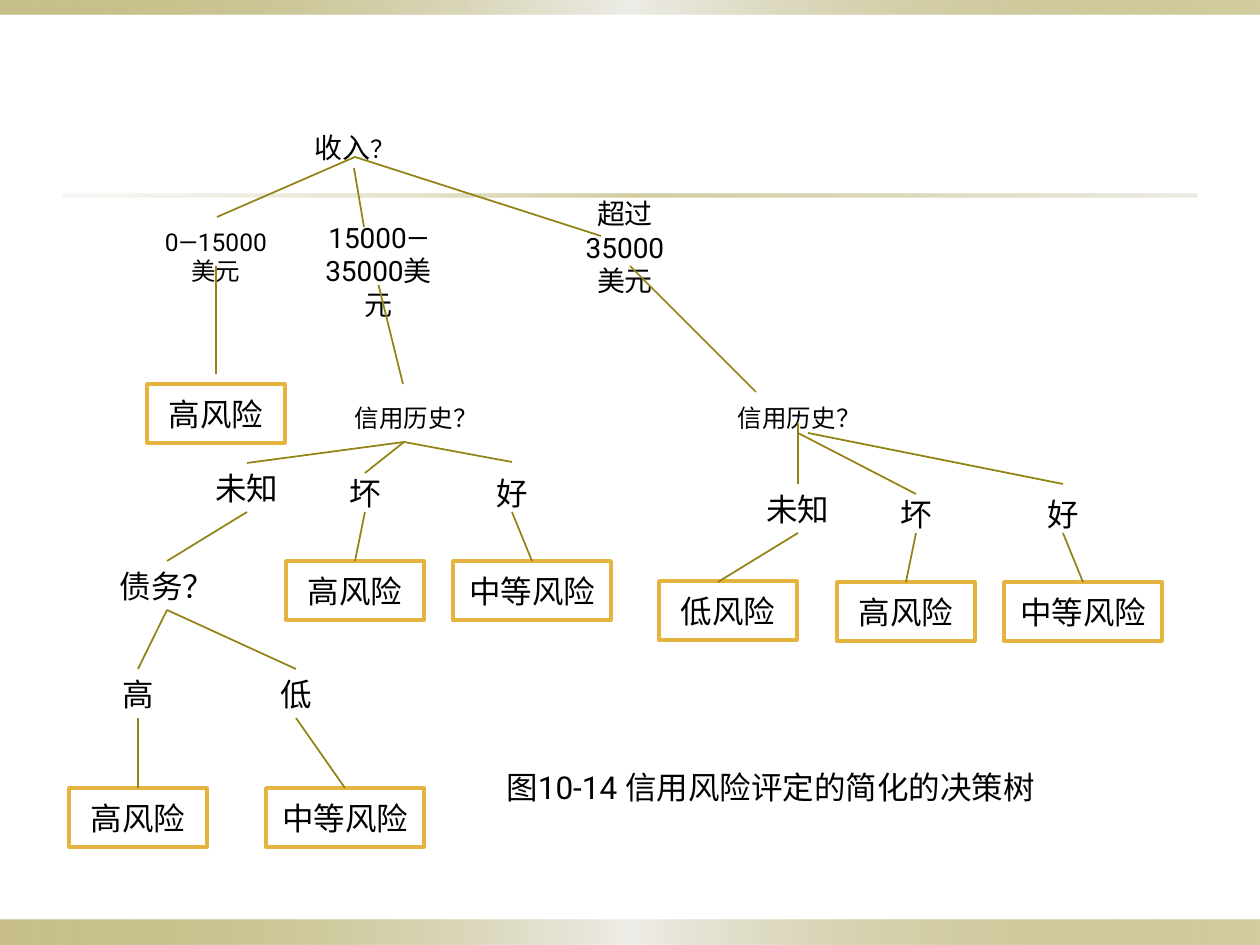
from dataclasses import dataclass

from lxml.etree import SubElement
from pptx import Presentation
from pptx.dml.color import RGBColor as Rgb
from pptx.enum.shapes import MSO_CONNECTOR as Link
from pptx.enum.shapes import MSO_SHAPE as Shape
from pptx.enum.text import MSO_ANCHOR as Anchor
from pptx.enum.text import PP_ALIGN as Align
from pptx.oxml.ns import qn
from pptx.util import Emu, Pt

TOP, BOTTOM = 0, 2


@dataclass(frozen=True)
class Theme:
    font: str = "Roboto"
    ink: str = "000000"
    paper: str = "FFFFFF"
    olive: str = "918415"
    mist: str = "EEEDE8"
    sand: str = "DCD9CC"
    gold: str = "E5B440"
    small: int = 14
    medium: int = 16
    large: int = 18
    thin: int = 1
    thick: int = 2


def px(length):
    return Emu(round(length * 914400 / 126))


def assign(target, values):
    for name, value in values.items():
        setattr(target, name, value)


class TreeSlide:
    def __init__(self, page, theme):
        self.page = page
        self.theme = theme

    def rectangle(self, area):
        box = self.page.shapes.add_shape(Shape.RECTANGLE, *map(px, area))
        box.shadow.inherit = False
        return box

    def band(self, area, stops):
        bar = self.rectangle(area)
        bar.line.fill.background()
        bar.fill.gradient()
        bar.fill.gradient_angle = 0
        stop_list = bar._element.spPr.find(".//" + qn("a:gsLst"))
        stop_list.clear()
        for position, color, opacity in stops:
            stop = SubElement(stop_list, qn("a:gs"), pos=str(position * 1000))
            tint = SubElement(stop, qn("a:srgbClr"), val=color)
            SubElement(tint, qn("a:alpha"), val=str(opacity * 1000))

    def set_text(self, box, spans):
        frame = box.text_frame
        assign(frame, {"word_wrap": True, "vertical_anchor": Anchor.MIDDLE})
        para = frame.paragraphs[0]
        para.alignment = Align.CENTER
        para._p.get_or_add_pPr().set("hangingPunct", "1")
        for text, size in spans:
            span = para.add_run()
            span.text = text
            assign(span.font, {"name": self.theme.font, "size": Pt(size)})
            span.font.color.rgb = Rgb.from_string(self.theme.ink)

    def label(self, area, *spans):
        box = self.page.shapes.add_textbox(*map(px, area))
        self.set_text(box, spans)
        return box

    def leaf(self, left, top, text, width=138):
        box = self.rectangle((left, top, width, 59))
        box.fill.solid()
        box.fill.fore_color.rgb = Rgb.from_string(self.theme.paper)
        box.line.color.rgb = Rgb.from_string(self.theme.gold)
        box.line.width = Pt(self.theme.thick)
        self.set_text(box, [(text, self.theme.large)])
        return box

    def branch(self, start, end):
        points = [(0, 0) if hasattr(p[0], "shape_id") else p for p in (start, end)]
        line = self.page.shapes.add_connector(
            Link.STRAIGHT, *(px(value) for point in points for value in point)
        )
        for place, connect in ((start, line.begin_connect), (end, line.end_connect)):
            if hasattr(place[0], "shape_id"):
                connect(*place)
        line.line.color.rgb = Rgb.from_string(self.theme.olive)
        line.line.width = Pt(self.theme.thin)
        SubElement(line._element.spPr, qn("a:effectLst"))


def draw_background(slide):
    theme = slide.theme
    edge = [(0, theme.olive, 50), (50, theme.mist, 100), (100, theme.olive, 40)]
    rule = [(0, theme.sand, 20), (50, theme.olive, 40), (100, theme.sand, 50)]
    slide.band((0, 920, 1260, 25), edge)
    slide.band((0, 0, 1260, 15), edge)
    slide.band((63, 194, 1134, 3), rule)


def draw_tree(slide):
    small, medium, large = slide.theme.small, slide.theme.medium, slide.theme.large
    label, leaf = slide.label, slide.leaf

    income = label((286, 137, 138, 20), ("收入", medium), ("？", small))
    low_income = label((147, 246, 138, 20), ("0—15000美元", small))
    mid_income = label((305, 256, 147, 29), ("15000—35000美元", medium))
    label((561, 237, 128, 20), ("超过35000美元", medium))
    history, _ = [
        label((left, 393, 138, 49), ("信用历史？", small)) for left in (335, 718)
    ]
    leaf(147, 384, "高风险")

    def outcomes(left, top):
        unknown = label((left, top, 138, 49), ("未知", large))
        bad, good = [
            label((left + shift, top + 10, 118, 39), (text, large))
            for shift, text in ((128, "坏"), (275, "好"))
        ]
        high = leaf(left + 108, top + 98, "高风险")
        middle = leaf(left + 275, top + 98, "中等风险", 158)
        slide.branch((bad, BOTTOM), (high, TOP))
        slide.branch((good, BOTTOM), (middle, TOP))
        return unknown, bad

    unknown, bad = outcomes(178, 463)
    rich_unknown, rich_bad = outcomes(729, 484)
    leaf(659, 581, "低风险")

    debt = label((98, 561, 138, 49), ("债务？", large))
    for left, text, leaf_left, risk, width in (
        (69, "高", 69, "高风险", 138),
        (227, "低", 266, "中等风险", 158),
    ):
        level = label((left, 669, 138, 49), (text, large))
        result = leaf(leaf_left, 788, risk, width)
        slide.branch((debt, BOTTOM), (level, TOP))
        slide.branch((level, BOTTOM), (result, TOP))

    for start, end in (
        ((income, BOTTOM), (217, 217)),
        ((354, 168), (364, 227)),
        ((income, BOTTOM), (601, 236)),
        ((low_income, BOTTOM), (216, 374)),
        ((mid_income, BOTTOM), (403, 384)),
        ((630, 266), (756, 392)),
        ((history, BOTTOM), (unknown, TOP)),
        ((history, BOTTOM), (bad, TOP)),
        ((history, BOTTOM), (512, 462)),
        ((debt, TOP), (unknown, BOTTOM)),
        ((798, 423), (rich_unknown, TOP)),
        ((798, 433), (rich_bad, TOP)),
        ((808, 433), (1063, 484)),
        ((718, 582), (rich_unknown, BOTTOM)),
    ):
        slide.branch(start, end)

    label((433, 767, 675, 39), ("图10-14 信用风险评定的简化的决策树", large))


def main():
    deck = Presentation()
    assign(deck, {"slide_width": px(1260), "slide_height": px(945)})
    slide = TreeSlide(deck.slides.add_slide(deck.slide_layouts[6]), Theme())
    draw_background(slide)
    draw_tree(slide)
    deck.save("out.pptx")


if __name__ == "__main__":
    main()
